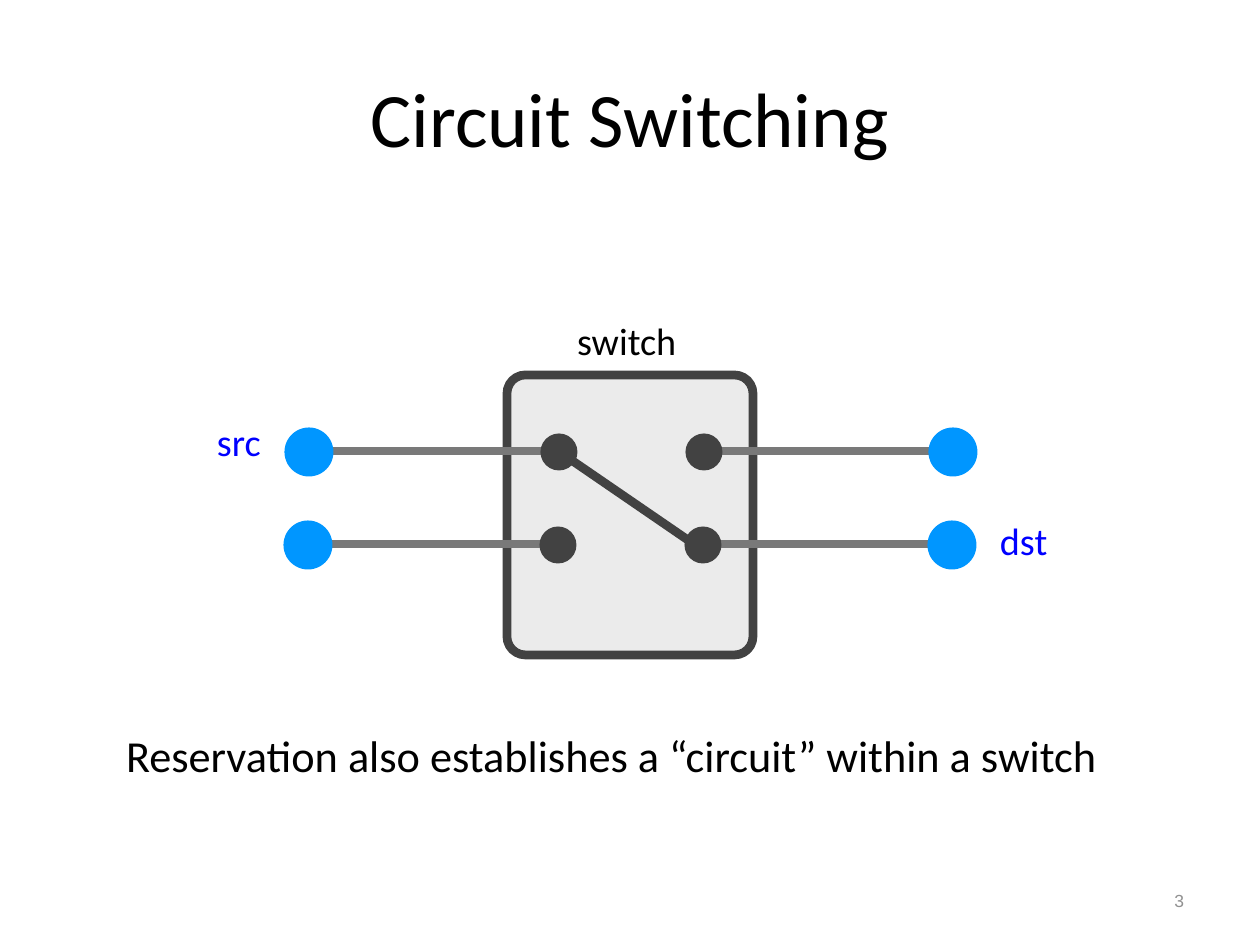
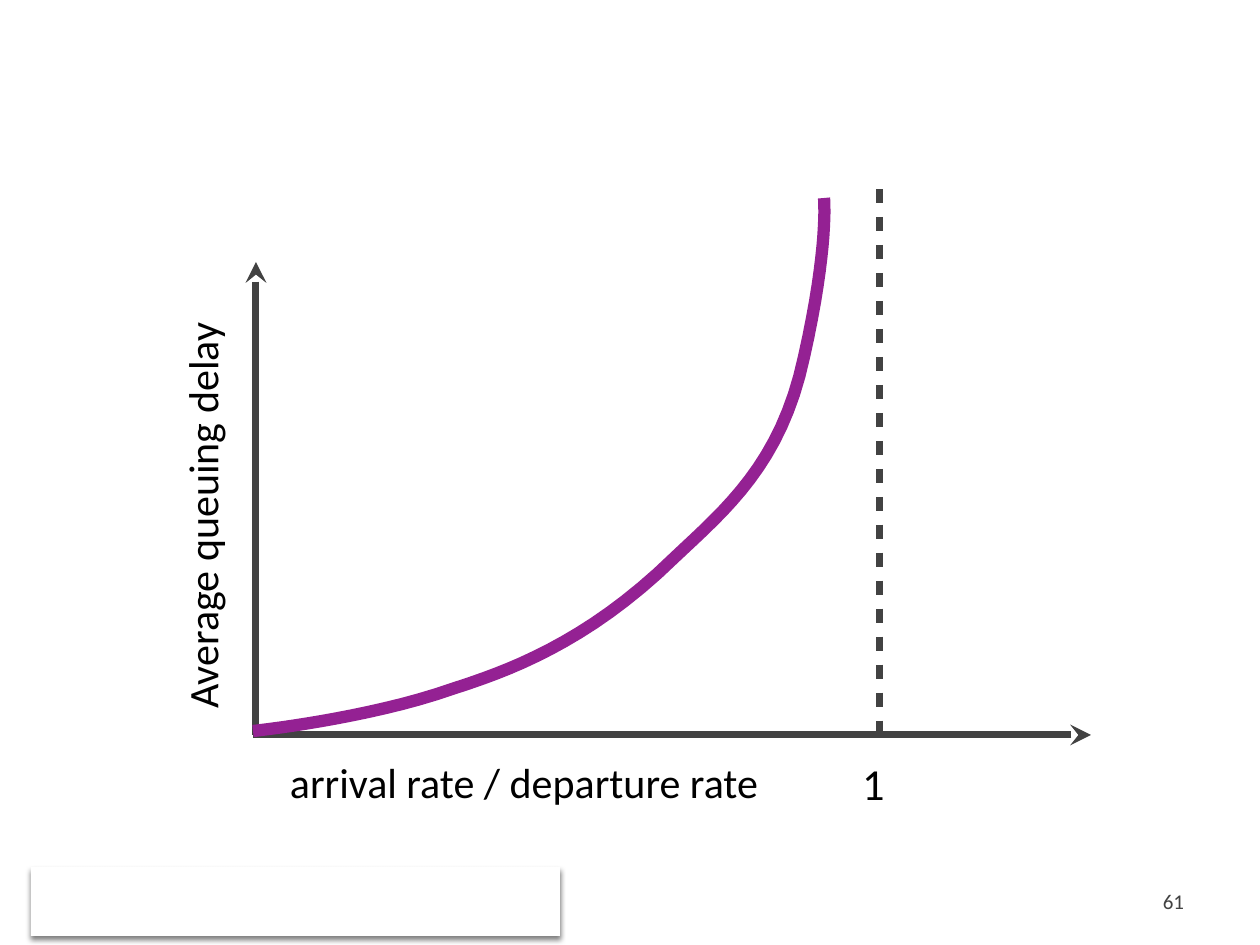
"""Build two networking slides: circuit switching and queuing delay."""
from lxml.etree import SubElement
from pptx import Presentation
from pptx.dml.color import RGBColor
from pptx.enum.shapes import MSO_CONNECTOR, MSO_SHAPE
from pptx.enum.text import MSO_ANCHOR, PP_ALIGN
from pptx.oxml.ns import qn
from pptx.util import Pt

SCALE = 914400 / 126
BLACK = RGBColor(0, 0, 0)
WHITE = RGBColor(0xFF, 0xFF, 0xFF)
DARK = RGBColor(0x42, 0x42, 0x42)
WIRE_GRAY = RGBColor(0x79, 0x79, 0x79)
NUMBER_GRAY = RGBColor(0x91, 0x91, 0x91)
PANEL_GRAY = RGBColor(0xEB, 0xEB, 0xEB)
NODE_BLUE = RGBColor(0, 0x96, 0xFF)
LABEL_BLUE = RGBColor(0, 0, 0xFF)
PURPLE = RGBColor(0x94, 0x21, 0x93)

TITLE = "Circuit Switching"
TITLE_AREA = (63, 38, 1134, 158)
NUMBER_AREA = (903, 876, 294, 50)

SWITCH_AREA = (507, 375, 246, 280)
CIRCUIT = ((564, 455), (704, 551))
ROWS = [(0, 452), (-1, 545)]
WIRES = [(309, 559), (953, 704)]
NODE_SIZE, PORT_SIZE = 49, 37
SWITCH_LABELS = [
    ("switch", (572, 312, 117, 57), 21.8, BLACK),
    ("src", (212, 413, 62, 57), 21.8, LABEL_BLUE),
    ("dst", (995, 512, 62, 57), 21.8, LABEL_BLUE),
    ("Reservation also establishes a “circuit” within a switch",
     (121, 723, 1076, 63), 25.3, BLACK),
]

AXES = [((256, 262), (256, 735)), ((1091, 735), (253, 735))]
LIMIT = ((880, 189), (880, 735))
CURVE_START = (253, 731)
CURVE = [
    ((253, 731), (367, 719), (452, 689)),
    ((505, 672), (586, 644), (674, 558)),
    ((726, 509), (781, 464), (804, 357)),
    ((829, 246), (824, 198), (824, 198)),
]
CURVE_STEPS = 16
GRAPH_LABELS = [
    ("arrival rate / departure rate", (285, 752, 539, 60), 24, 0),
    ("1", (857, 751, 45, 63), 25.3, 0),
    ("Average queuing delay", (-40, 442, 483, 60), 24, 270),
]
BLANK_CARD = (31, 867, 529, 69)


def emu(*pixels):
    return [round(value * SCALE) for value in pixels]


def add_text(page, text, area, size, color, font="Calibri",
             align=PP_ALIGN.LEFT, inset=5, rotation=0):
    box = page.shapes.add_textbox(*emu(*area))
    box.rotation = rotation
    frame = box.text_frame
    frame.word_wrap = True
    frame.vertical_anchor = MSO_ANCHOR.MIDDLE
    frame.margin_left = frame.margin_right = emu(inset)[0]
    frame.margin_top = frame.margin_bottom = emu(5)[0]
    frame.text = text
    para = frame.paragraphs[0]
    para.alignment = align
    span = para.runs[0]
    span.font.name = font
    span.font.size = Pt(size)
    span.font.color.rgb = color


def add_number(page, text, size, color, font):
    add_text(page, text, NUMBER_AREA, size, color, font, PP_ALIGN.RIGHT, 13)


def add_line(page, start, end, color, width):
    line = page.shapes.add_connector(
        MSO_CONNECTOR.STRAIGHT, *emu(*start, *end))
    line.line.color.rgb = color
    line.line.width = Pt(width)
    properties = line._element.spPr
    SubElement(properties, qn("a:effectLst"))
    return properties.find(qn("a:ln"))


def add_shape(page, kind, area, fill):
    shape = page.shapes.add_shape(kind, *emu(*area))
    shape.shadow.inherit = False
    shape.fill.solid()
    shape.fill.fore_color.rgb = fill
    shape.line.fill.background()
    return shape


def add_dot(page, x, y, size, fill):
    area = (x - size / 2, y - size / 2, size, size)
    add_shape(page, MSO_SHAPE.OVAL, area, fill)


def curve_points():
    start = CURVE_START
    for first, second, end in CURVE:
        for step in range(1, CURVE_STEPS + 1):
            t = step / CURVE_STEPS
            weights = ((1 - t) ** 3, 3 * t * (1 - t) ** 2,
                       3 * t * t * (1 - t), t ** 3)
            corners = (start, first, second, end)
            yield emu(*(sum(w * corner[axis] for w, corner
                            in zip(weights, corners)) for axis in (0, 1)))
        start = end


def add_curve(page):
    builder = page.shapes.build_freeform(*emu(*CURVE_START))
    builder.add_line_segments(list(curve_points()), close=False)
    curve = builder.convert_to_shape()
    curve.shadow.inherit = False
    curve.fill.background()
    curve.line.color.rgb = PURPLE
    curve.line.width = Pt(7)


def add_soft_shadow(shape):
    effects = shape._element.spPr.find(qn("a:effectLst"))
    shadow = SubElement(effects, qn("a:outerShdw"), blurRad="38100",
                        dist="25400", dir="5400000", rotWithShape="0")
    color = SubElement(shadow, qn("a:srgbClr"), val=str(BLACK))
    SubElement(color, qn("a:alpha"), val="50000")


def build_switch_page(page):
    add_text(page, TITLE, TITLE_AREA, 44, BLACK,
             align=PP_ALIGN.CENTER, inset=13)
    add_number(page, "3", 10, NUMBER_GRAY, "Arial")
    switch = add_shape(page, MSO_SHAPE.ROUNDED_RECTANGLE, SWITCH_AREA,
                       PANEL_GRAY)
    switch.adjustments[0] = 0.075
    switch.line.color.rgb = DARK
    switch.line.width = Pt(5)
    add_line(page, *CIRCUIT, DARK, 5)
    for shift, y in ROWS:
        for node, port in WIRES:
            add_line(page, (node + shift, y - 1), (port + shift, y - 1),
                     WIRE_GRAY, 5)
            add_dot(page, node + shift, y, NODE_SIZE, NODE_BLUE)
            add_dot(page, port + shift, y, PORT_SIZE, DARK)
    for text, area, size, color in SWITCH_LABELS:
        add_text(page, text, area, size, color)


def build_delay_page(page):
    add_number(page, "61", 12, DARK, "Calibri")
    for tip, origin in AXES:
        outline = add_line(page, tip, origin, DARK, 4)
        SubElement(outline, qn("a:headEnd"), type="stealth")
    add_curve(page)
    outline = add_line(page, *LIMIT, DARK, 4)
    dashes = SubElement(outline, qn("a:custDash"))
    SubElement(dashes, qn("a:ds"), d="200000", sp="200000")
    for text, area, size, rotation in GRAPH_LABELS:
        add_text(page, text, area, size, BLACK, rotation=rotation)
    add_soft_shadow(add_shape(page, MSO_SHAPE.RECTANGLE, BLANK_CARD, WHITE))


deck = Presentation()
deck.slide_width, deck.slide_height = emu(1260, 945)
for build in (build_switch_page, build_delay_page):
    build(deck.slides.add_slide(deck.slide_layouts[6]))
deck.save("out.pptx")
